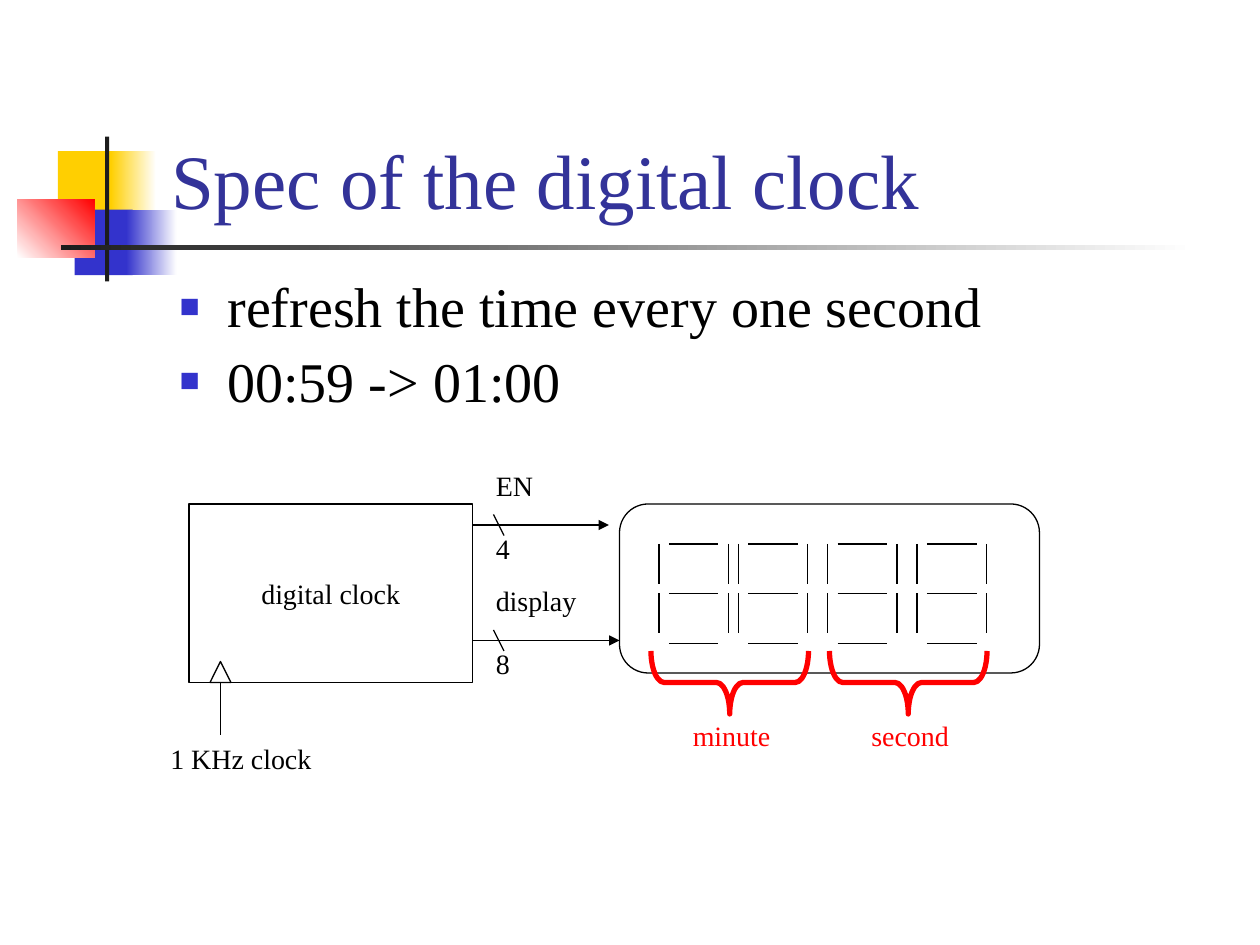
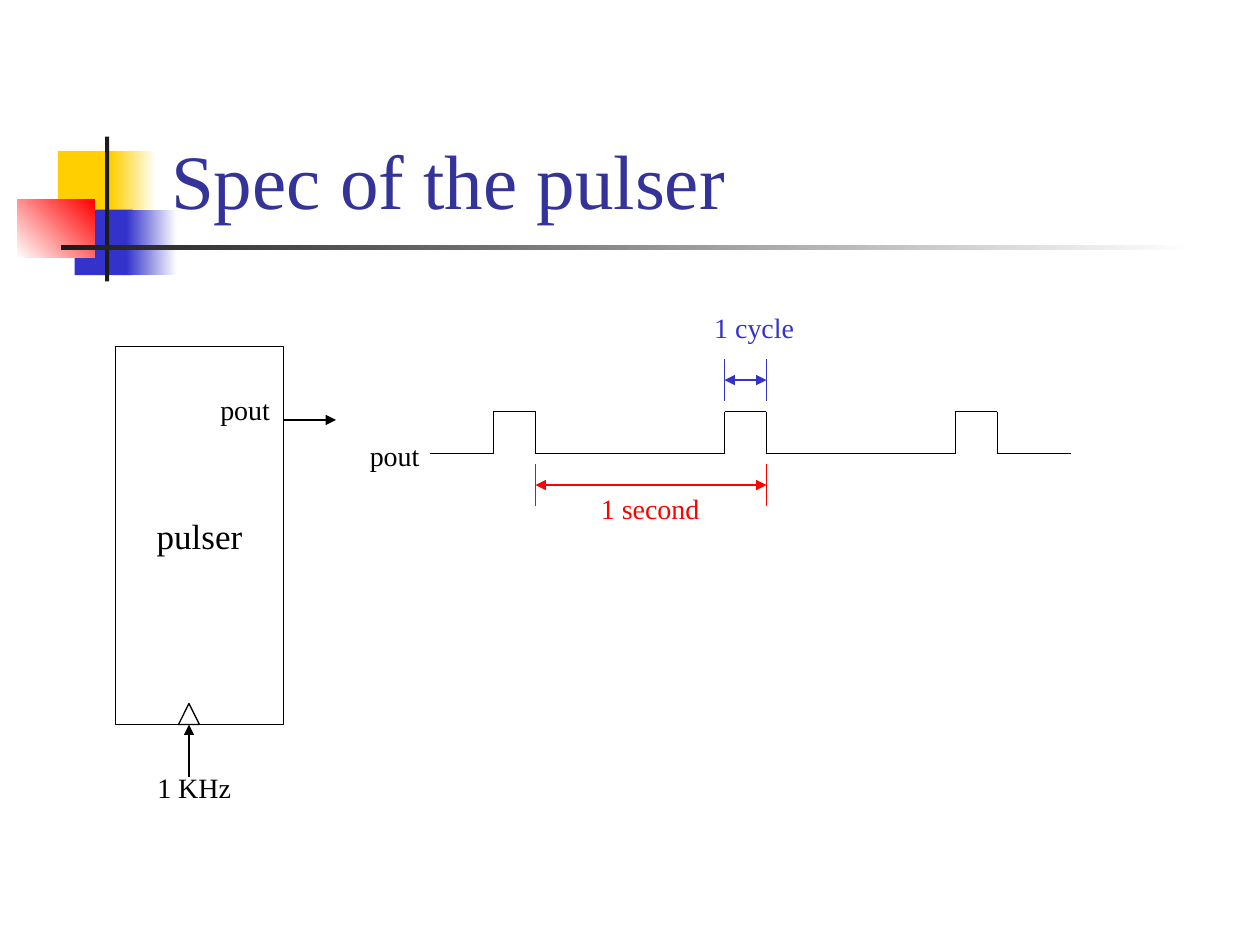
from dataclasses import dataclass
from itertools import pairwise
from typing import Any

from lxml import etree
from pptx import Presentation
from pptx.dml.color import RGBColor
from pptx.enum.shapes import MSO_CONNECTOR, MSO_SHAPE
from pptx.enum.text import MSO_ANCHOR, MSO_AUTO_SIZE, PP_ALIGN
from pptx.oxml.ns import qn
from pptx.util import Inches, Pt

RECT, ROUND = MSO_SHAPE.RECTANGLE, MSO_SHAPE.ROUNDED_RECTANGLE
TRI, BRACE = MSO_SHAPE.ISOSCELES_TRIANGLE, MSO_SHAPE.LEFT_BRACE
LINE = MSO_CONNECTOR.STRAIGHT
MIDDLE, BOTTOM, TOP = MSO_ANCHOR.MIDDLE, MSO_ANCHOR.BOTTOM, MSO_ANCHOR.TOP
CENTER = PP_ALIGN.CENTER
FIT = MSO_AUTO_SIZE.SHAPE_TO_FIT_TEXT

# Grid: 120 columns by 90 rows of square cells
WIDE, HIGH = Inches(10), Inches(7.5)
CELL = WIDE / 120

FONT = "Times New Roman"
BLACK, WHITE, RED, BLUE = "000000", "FFFFFF", "FF0000", "3333CC"
GOLD, DARK, NAVY = "FFCF01", "1C1C1C", "333399"


@dataclass(frozen=True)
class Box:
    col: float
    row: float
    cols: float
    rows: float = 4.44

    def emu(self) -> list[int]:
        return [cell(n) for n in (self.col, self.row, self.cols, self.rows)]


@dataclass(frozen=True)
class Band:
    box: Box
    start: str
    end: str = ""
    angle: int = 0


@dataclass(frozen=True)
class Label:
    text: str
    box: Box
    color: str = BLACK


BANDS = (
    Band(Box(5.52, 14.4, 5.76, 6.24), GOLD),
    Band(Box(10.56, 14.4, 4.32, 6.24), GOLD, WHITE),
    Band(Box(7.12, 19.96, 5.52, 6.24), BLUE),
    Band(Box(12.04, 19.96, 4.8, 6.24), BLUE, WHITE),
    Band(Box(1.68, 18.96, 7.32, 5.6), WHITE, RED, 45),
    Band(Box(10, 13, 0.4, 13.8), DARK),
    Band(Box(5.8, 23.36, 108, 0.44), DARK, WHITE),
)


def cell(count: float) -> int:
    return round(count * CELL)


def tint(code: str) -> RGBColor:
    return RGBColor.from_string(code)


def assign(target: Any, values: dict[str, Any]) -> None:
    for name, value in values.items():
        setattr(target, name, value)


def write(shape: Any, lines: list[str], size: float, color: str,
          frame: dict[str, Any], para: dict[str, Any]) -> None:
    body = shape.text_frame
    assign(body, frame)
    for i, text in enumerate(lines):
        item = body.add_paragraph() if i else body.paragraphs[0]
        assign(item, para)
        run = item.add_run()
        run.text = text
        assign(run.font, {"name": FONT, "size": Pt(size)})
        run.font.color.rgb = tint(color)


def outline(slide: Any, kind: Any, box: Box, color: str = BLACK,
            width: float = 0.75) -> Any:
    shape = slide.shapes.add_shape(kind, *box.emu())
    shape.shadow.inherit = False
    shape.fill.background()
    shape.line.color.rgb = tint(color)
    shape.line.width = Pt(width)
    return shape


def block(slide: Any, text: str, box: Box, size: float) -> None:
    shape = outline(slide, RECT, box)
    write(shape, [text], size, BLACK,
          {"word_wrap": False, "vertical_anchor": MIDDLE}, {"alignment": CENTER})


def label(slide: Any, item: Label) -> None:
    shape = slide.shapes.add_textbox(*item.box.emu())
    write(shape, [item.text], 16, item.color,
          {"word_wrap": False, "auto_size": FIT, "margin_right": 0}, {})


def wire(slide: Any, x1: float, y1: float, x2: float, y2: float,
         color: str = BLACK, ends: tuple[str, ...] = ()) -> None:
    link = slide.shapes.add_connector(LINE, *map(cell, (x1, y1, x2, y2)))
    link.line.color.rgb = tint(color)
    link.line.width = Pt(0.75)
    for end in ends:
        etree.SubElement(link.line._ln, qn(f"a:{end}"), type="triangle")
    etree.SubElement(link._element.spPr, qn("a:effectLst"))


def band(slide: Any, item: Band) -> None:
    shape = slide.shapes.add_shape(RECT, *item.box.emu())
    shape.shadow.inherit = False
    shape.line.fill.background()
    if not item.end:
        shape.fill.solid()
        shape.fill.fore_color.rgb = tint(item.start)
        return
    shape.fill.gradient()
    shape.fill.gradient_angle = item.angle
    for stop, code in zip(shape.fill.gradient_stops, (item.start, item.end)):
        stop.color.rgb = tint(code)


def page(deck: Any, title: str) -> Any:
    slide = deck.slides.add_slide(deck.slide_layouts[6])
    for item in BANDS:
        band(slide, item)
    shape = slide.shapes.add_textbox(*Box(15.12, 2.84, 102.24, 19.2).emu())
    write(shape, [title], 44, NAVY,
          {"word_wrap": True, "vertical_anchor": BOTTOM}, {})
    return slide


def points(slide: Any, lines: list[str], box: Box) -> None:
    shape = slide.shapes.add_textbox(*box.emu())
    write(shape, lines, 32, BLACK, {"word_wrap": True, "vertical_anchor": TOP},
          {"line_spacing": 0.9, "space_before": Pt(8)})
    for item in shape.text_frame.paragraphs:
        props = item._p.get_or_add_pPr()
        indent = Inches(0.38)
        props.set("marL", str(indent))
        props.set("indent", str(-indent))
        paint = etree.SubElement(props, qn("a:buClr"))
        etree.SubElement(paint, qn("a:srgbClr"), val=BLUE)
        etree.SubElement(props, qn("a:buSzPct"), val="60000")
        etree.SubElement(props, qn("a:buFont"), typeface=FONT)
        etree.SubElement(props, qn("a:buChar"), char="■")


def clock_in(slide: Any, col: float, base: float, tail: float,
             ends: tuple[str, ...] = ()) -> None:
    outline(slide, TRI, Box(col - 1, base - 2, 2, 2))
    wire(slide, col, tail, col, base, ends=ends)


def digit(slide: Any, left: float, top: float, unit: float) -> None:
    """Seven segments on a lattice 7 units wide and 10 high."""
    flat = [(1, y, 6, y) for y in (0, 5, 10)]
    tall = [(x, y, x, y + 4) for x in (0, 7) for y in (0, 5)]
    for x1, y1, x2, y2 in flat + tall:
        wire(slide, left + x1 * unit, top + y1 * unit,
             left + x2 * unit, top + y2 * unit)


def span(slide: Any, left: float, right: float, top: float, color: str) -> None:
    for col in (left, right):
        wire(slide, col, top, col, top + 4, color)
    wire(slide, left, top + 2, right, top + 2, color, ("headEnd", "tailEnd"))


def clock(deck: Any) -> None:
    slide = page(deck, "Spec of the digital clock")
    points(slide, ["refresh the time every one second", "00:59 -> 01:00"],
           Box(15.92, 26, 102, 15))

    # Clock block and its input
    block(slide, "digital clock", Box(18, 48, 27, 17), 16)
    clock_in(slide, 21, 65, 70)
    label(slide, Label("1 KHz clock", Box(15.04, 70, 15.84)))

    # Output buses
    for name, wide, bits, row, end in (("EN", 5.88, "4", 50, 58),
                                       ("display", 10.08, "8", 61, 59)):
        wire(slide, 45, row, end, row, ends=("tailEnd",))
        wire(slide, 47, row - 1, 48, row + 1)
        label(slide, Label(bits, Box(46.04, row, 3.72)))
        label(slide, Label(name, Box(46.04, row - 6, wide)))

    # Display: four digits span 33 units
    unit = 31.2 / 33
    for start in (0, 8, 17, 26):
        digit(slide, 62.75 + start * unit, 51.8, unit)
    panel = outline(slide, ROUND, Box(59, 48, 40, 16.1))
    panel.adjustments[0] = 0.17

    # Braces, turned to point down
    for name, mid in (("minute", 69.5), ("second", 86.5)):
        brace = outline(slide, BRACE, Box(mid - 3, 57.5, 6, 15), RED, 3)
        brace.rotation = 270
        brace.adjustments[0] = 0.21
        label(slide, Label(name, Box(mid - 4.7, 67.8, 9.72), RED))


def pulser(deck: Any) -> None:
    slide = page(deck, "Spec of the pulser")

    # Pulser block with its ports
    block(slide, "pulser", Box(11, 33, 16, 36), 20)
    clock_in(slide, 18, 69, 74, ("tailEnd",))
    wire(slide, 27, 40, 32, 40, ends=("tailEnd",))

    # Wave: a pulse of 4 columns every 22
    low, high = 43.2, 39.2
    rises = [47 + 22 * i for i in range(3)]
    wave = [(41, low)]
    for x in rises:
        wave += [(x, low), (x, high), (x + 4, high), (x + 4, low)]
    wave.append((102, low))
    for start, end in pairwise(wave):
        wire(slide, *start, *end)

    # Measures
    span(slide, rises[1], rises[1] + 4, high - 5, BLUE)
    span(slide, rises[0] + 4, rises[1] + 4, low + 1, RED)

    for item in (
        Label("pout", Box(19.8, 36.84, 7.08)),
        Label("1 KHz", Box(13.8, 72.84, 9.36)),
        Label("pout", Box(34.04, 41.16, 7.08)),
        Label("1 cycle", Box(66.84, 29, 9.96), BLUE),
        Label("1 second", Box(56.04, 46.2, 11.76), RED),
    ):
        label(slide, item)


def main() -> None:
    deck = Presentation()
    assign(deck, {"slide_width": WIDE, "slide_height": HIGH})
    clock(deck)
    pulser(deck)
    deck.save("out.pptx")


if __name__ == "__main__":
    main()
